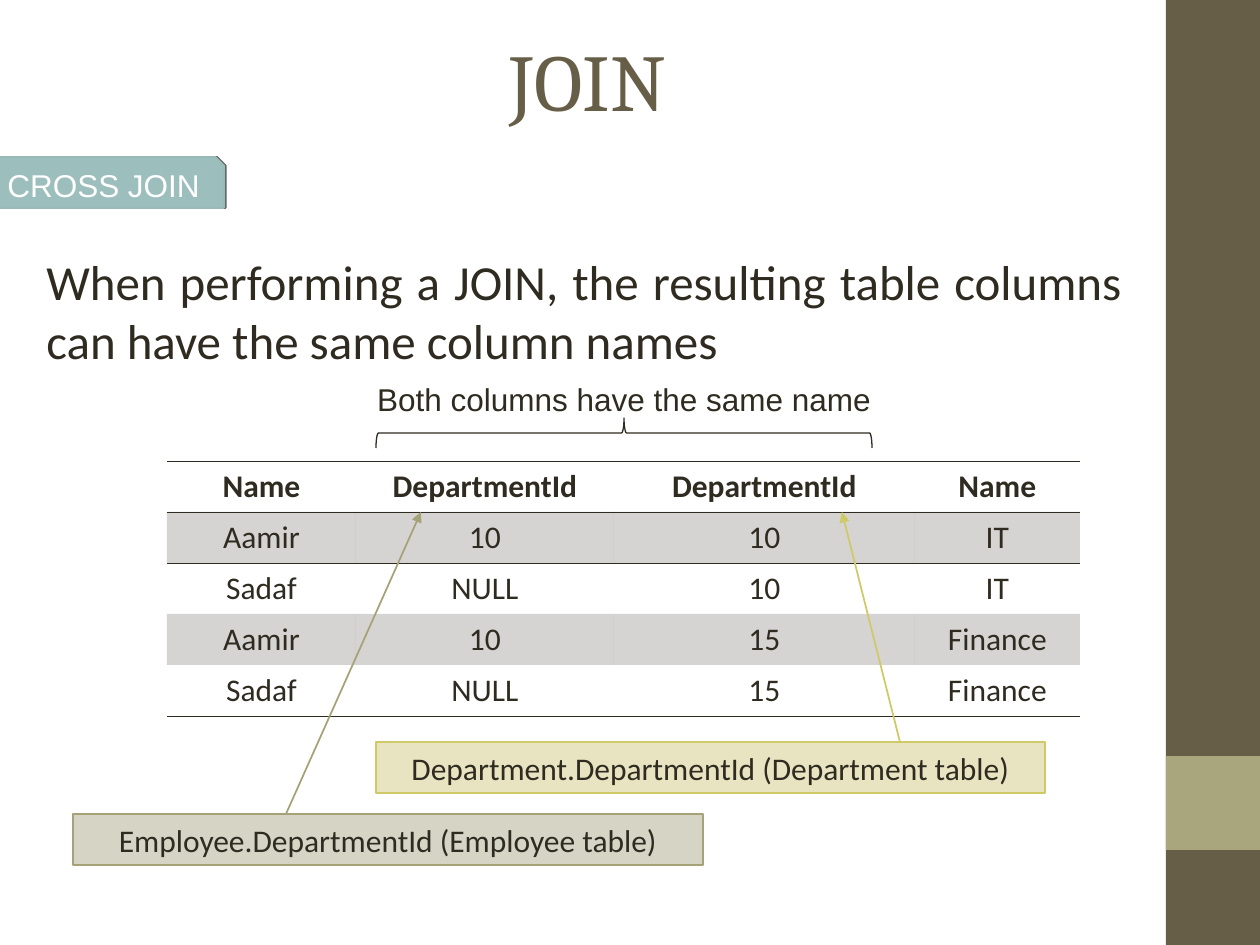
from lxml.etree import SubElement
from pptx import Presentation
from pptx.dml.color import RGBColor
from pptx.enum.shapes import MSO_CONNECTOR, MSO_SHAPE
from pptx.enum.text import MSO_ANCHOR, PP_ALIGN
from pptx.oxml import parse_xml
from pptx.oxml.ns import nsdecls, qn
from pptx.util import Pt

PX = 914400 // 126

INK = "2F2B20"
BROWN = "675E47"
OLIVE = "A9A57C"

HEADERS = ["Name", "DepartmentId", "DepartmentId", "Name"]
ROWS = [
    ["Aamir", "10", "10", "IT"],
    ["Sadaf", "NULL", "10", "IT"],
    ["Aamir", "10", "15", "Finance"],
    ["Sadaf", "NULL", "15", "Finance"],
]
COLUMN_WIDTHS = [189, 258, 301, 165]
ROW_HEIGHT = 51
NO_TABLE_STYLE = "{2D5ABB26-0587-4C30-8999-92F81FD0307C}"


def px(*lengths):
    return [length * PX for length in lengths]


def rgb(value):
    return RGBColor.from_string(value)


def set_text(text_frame, text, size, font_name="Calibri", color=INK,
             align=PP_ALIGN.CENTER, bold=False):
    text_frame.text = text
    paragraph = text_frame.paragraphs[0]
    paragraph.alignment = align
    font = paragraph.runs[0].font
    font.size, font.name, font.bold = Pt(size), font_name, bold
    font.color.rgb = rgb(color)


def add_text(slide, box, text, size, anchor=MSO_ANCHOR.TOP, **style):
    text_frame = slide.shapes.add_textbox(*px(*box)).text_frame
    text_frame.word_wrap = True
    text_frame.vertical_anchor = anchor
    set_text(text_frame, text, size, **style)


def add_shape(slide, kind, box, fill=None, line=None, line_width=1):
    shape = slide.shapes.add_shape(kind, *px(*box))
    shape.shadow.inherit = False
    if fill:
        shape.fill.solid()
        shape.fill.fore_color.rgb = rgb(fill)
    else:
        shape.fill.background()
    if line:
        shape.line.color.rgb = rgb(line)
        shape.line.width = Pt(line_width)
    else:
        shape.line.fill.background()
    return shape


def add_side_shadow(shape):
    effects = shape._element.spPr.find(qn("a:effectLst"))
    effects.append(parse_xml(
        f'<a:outerShdw {nsdecls("a")} blurRad="0" dist="12700" dir="0" '
        'rotWithShape="0"><a:srgbClr val="000000"><a:alpha val="60000"/>'
        '</a:srgbClr></a:outerShdw>'))


def add_arrow(slide, start, end, color):
    arrow = slide.shapes.add_connector(MSO_CONNECTOR.STRAIGHT, *px(*start, *end))
    arrow.line.color.rgb = rgb(color)
    arrow.line.width = Pt(1)
    SubElement(arrow.line._get_or_add_ln(), qn("a:tailEnd"), type="triangle")
    SubElement(arrow._element.spPr, qn("a:effectLst"))


def add_callout(slide, box, text, fill, line, start, end):
    shape = add_shape(slide, MSO_SHAPE.RECTANGLE, box, fill, line)
    set_text(shape.text_frame, text, 18)
    add_arrow(slide, start, end, line)


def shade_cell(cell):
    cell.fill.solid()
    cell.fill.fore_color.rgb = rgb(INK)
    color = cell._tc.tcPr.find(qn("a:solidFill"))[0]
    SubElement(color, qn("a:alpha"), val="20000")


def add_borders(cell, sides):
    properties = cell._tc.get_or_add_tcPr()
    for position, side in enumerate(sides):
        properties.insert(position, parse_xml(
            f'<a:ln{side} {nsdecls("a")} w="5715"><a:solidFill>'
            f'<a:srgbClr val="{INK}"/></a:solidFill></a:ln{side}>'))


def add_join_table(slide, left, top):
    rows = [HEADERS] + ROWS
    size = sum(COLUMN_WIDTHS), ROW_HEIGHT * len(rows)
    frame = slide.shapes.add_table(len(rows), len(HEADERS), *px(left, top, *size))
    table = frame.table
    table.first_row = table.horz_banding = False
    table._tbl.tblPr.find(qn("a:tableStyleId")).text = NO_TABLE_STYLE
    for column, width in zip(table.columns, COLUMN_WIDTHS):
        column.width = width * PX
    # Lines above and below the header, and below the last row
    borders = {0: "TB", 1: "T", len(rows) - 1: "B"}
    for row_index, values in enumerate(rows):
        for column_index, value in enumerate(values):
            cell = table.cell(row_index, column_index)
            set_text(cell.text_frame, value, 18, bold=row_index == 0)
            if row_index % 2:
                shade_cell(cell)
            else:
                cell.fill.background()
            add_borders(cell, borders.get(row_index, ""))


def main():
    presentation = Presentation()
    presentation.slide_width, presentation.slide_height = px(1260, 945)
    slide = presentation.slides.add_slide(presentation.slide_layouts[6])

    # Side band
    add_shape(slide, MSO_SHAPE.RECTANGLE, (1166, 0, 94, 945), BROWN)
    add_shape(slide, MSO_SHAPE.RECTANGLE, (1166, 756, 94, 94), OLIVE)

    # Title, section tag and statement
    add_text(slide, (63, 0, 1050, 158), "JOIN", 46, MSO_ANCHOR.MIDDLE,
             font_name="Cambria", color=BROWN)
    tag = add_shape(slide, MSO_SHAPE.SNIP_1_RECTANGLE, (-5, 157, 229, 51),
                    "9CBEBD", "98BBB9")
    add_side_shadow(tag)
    set_text(tag.text_frame, "CROSS JOIN", 18, "Arial", "FFFFFF", PP_ALIGN.JUSTIFY)
    add_text(slide, (34, 245, 1100, 149),
             "When performing a JOIN, the resulting table columns can have "
             "the same column names", 28, align=PP_ALIGN.JUSTIFY)

    # Result table with a brace over the two shared column names
    add_join_table(slide, 167, 461)
    brace = add_shape(slide, MSO_SHAPE.LEFT_BRACE, (609, 185, 30, 496),
                      line=INK, line_width=0.75)
    brace.rotation = 90
    add_text(slide, (349, 374, 550, 51), "Both columns have the same name", 18,
             font_name="Arial")

    # Source of each DepartmentId column
    add_callout(slide, (73, 814, 630, 51), "Employee.DepartmentId (Employee table)",
                "D5D4C5", "A6A278", (286, 814), (421, 512))
    add_callout(slide, (376, 742, 669, 51),
                "Department.DepartmentId (Department table)",
                "E8E4C1", "D0C967", (900, 742), (842, 512))

    presentation.save("out.pptx")


if __name__ == "__main__":
    main()
